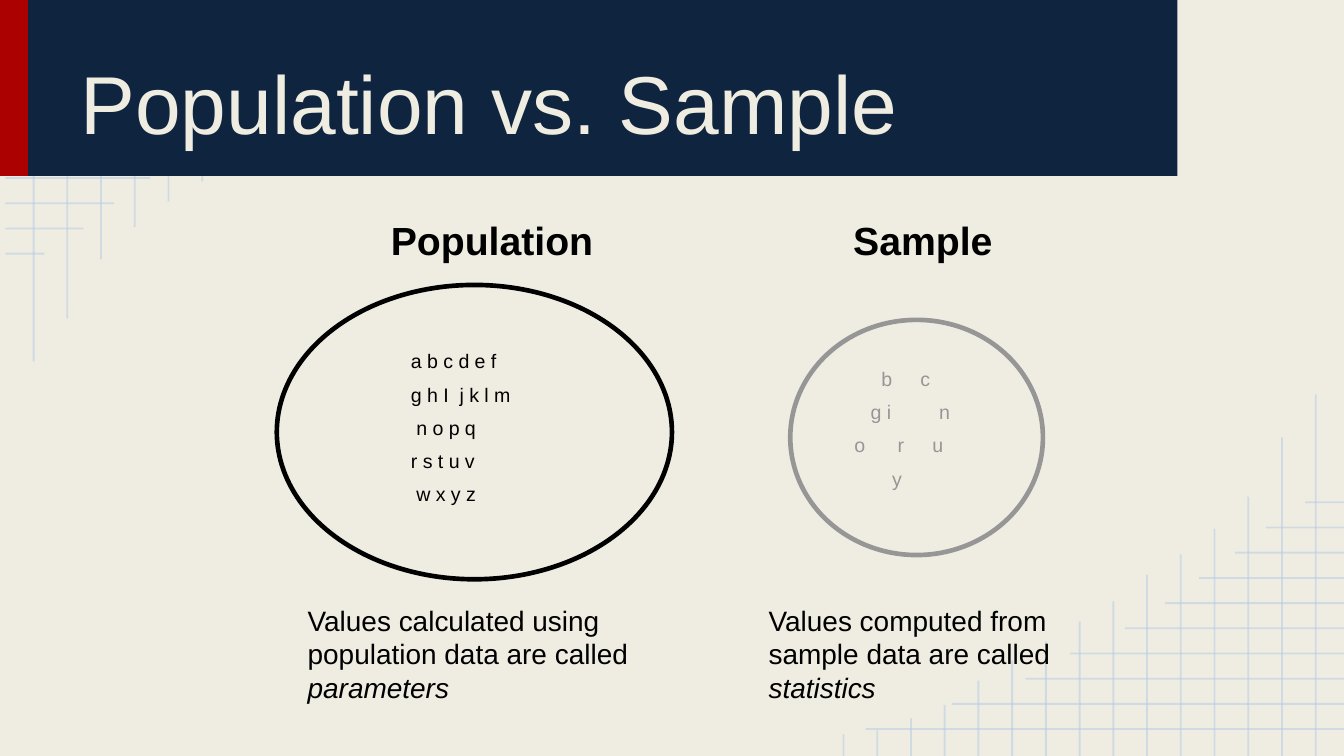
import pptx
import pptx.dml.color
import pptx.enum.shapes
import pptx.enum.text
import pptx.oxml
import pptx.oxml.ns
import pptx.util
from pptx.util import Inches

RGBColor = pptx.dml.color.RGBColor
CREAM = RGBColor(0xEF, 0xED, 0xE2)
NAVY = RGBColor(0x0F, 0x24, 0x3E)
RED = RGBColor(0xAB, 0x01, 0x01)
GRID_BLUE = RGBColor(0xB7, 0xCC, 0xE4)
BLACK = RGBColor(0, 0, 0)
GRAY = RGBColor(0x96, 0x96, 0x96)

FONT = "Arial"
WIDTH = 10
HEIGHT = WIDTH * 9 / 16
HEADER_BOTTOM = 1.31
GRID_MARGIN = 0.04
ROW_LENGTHS = [3.56, 2.92, 2.37, 2.04, 1.63, 1.33, 1.08, 0.81, 0.58, 0.29]
COLUMN_LENGTHS = [2.69, 2.37, 1.93, 1.69, 1.5, 1.35, 1.15, 1, 0.85, 0.71, 0.56, 0.38, 0.28, 0.19, 0.16]

POPULATION_LINES = ["a b c d e f", "g h I  j k l m", " n o p q", "r s t u v", " w x y z"]
SAMPLE_LINES = ["\tb\tc", "\tg i\tn", "\to\tr\tu", "\ty"]
SAMPLE_STOPS = [[0.28, 0.57], [0.2, 0.71], [0.08, 0.4, 0.66], [0.36]]


def add_grid_line(slide, start, end):
    points = [Inches(value) for value in (*start, *end)]
    connector = slide.shapes.add_connector(pptx.enum.shapes.MSO_CONNECTOR.STRAIGHT, *points)
    connector.line.color.rgb = GRID_BLUE
    connector.line.width = pptx.util.Pt(1)
    color = connector.element.find(".//" + pptx.oxml.ns.qn("a:srgbClr"))
    alpha = pptx.oxml.parse_xml(f'<a:alpha {pptx.oxml.ns.nsdecls("a")} val="54000"/>')
    color.append(alpha)
    effects = pptx.oxml.parse_xml(f'<a:effectLst {pptx.oxml.ns.nsdecls("a")}/>')
    connector.element.spPr.append(effects)


def add_corner_grids(slide):
    lines = []
    for index, length in enumerate(ROW_LENGTHS):
        y = 0.2 + 0.1875 * index
        lines.append(((GRID_MARGIN, y), (GRID_MARGIN + length, y)))
    for index, length in enumerate(COLUMN_LENGTHS):
        x = 0.25 + 0.251 * index
        lines.append(((x, 0), (x, length)))
    for start, end in lines:
        if end[1] > HEADER_BOTTOM:
            add_grid_line(slide, start, end)
        turned = [(WIDTH + GRID_MARGIN - x, HEIGHT - y) for x, y in (start, end)]
        add_grid_line(slide, *turned)


def add_header_band(slide, left, width, color):
    band = slide.shapes.add_shape(
        pptx.enum.shapes.MSO_SHAPE.RECTANGLE,
        Inches(left), Inches(0), Inches(width), Inches(HEADER_BOTTOM))
    band.shadow.inherit = False
    band.fill.solid()
    band.fill.fore_color.rgb = color
    band.line.fill.background()


def add_oval(slide, left, top, width, height, color):
    oval = slide.shapes.add_shape(
        pptx.enum.shapes.MSO_SHAPE.OVAL,
        Inches(left), Inches(top), Inches(width), Inches(height))
    oval.shadow.inherit = False
    oval.fill.background()
    oval.line.color.rgb = color
    oval.line.width = pptx.util.Pt(2.5)


def format_font(font, size, color, bold=False):
    font.name = FONT
    font.size = pptx.util.Pt(size)
    font.color.rgb = color
    font.bold = bold


def fill_title(slide, text):
    title = slide.shapes.title
    title.left, title.top, title.width, title.height = [Inches(value) for value in (0.5, 0.11, 8, 1.11)]
    frame = title.text_frame
    frame.text = text
    frame.auto_size = pptx.enum.text.MSO_AUTO_SIZE.NONE
    frame.vertical_anchor = pptx.enum.text.MSO_ANCHOR.BOTTOM
    frame.margin_left = frame.margin_right = frame.margin_top = frame.margin_bottom = Inches(0.1)
    paragraph = frame.paragraphs[0]
    paragraph.alignment = pptx.enum.text.PP_ALIGN.LEFT
    format_font(paragraph.runs[0].font, 44, CREAM)
    slide.shapes.element.append(title.element)


def add_text(slide, box, text, size, color=BLACK, bold=False):
    shape = slide.shapes.add_textbox(*[Inches(value) for value in box])
    frame = shape.text_frame
    frame.text = text
    frame.word_wrap = True
    for index, paragraph in enumerate(frame.paragraphs):
        if index:
            paragraph.space_before = pptx.util.Pt(size / 2)
        for run in paragraph.runs:
            format_font(run.font, size, color, bold)
    return frame


def add_tab_stops(paragraph, positions):
    stops = "".join(f'<a:tab pos="{Inches(position)}" algn="l"/>' for position in positions)
    tab_list = pptx.oxml.parse_xml(f'<a:tabLst {pptx.oxml.ns.nsdecls("a")}>{stops}</a:tabLst>')
    paragraph._p.get_or_add_pPr().append(tab_list)


def add_caption(slide, box, text, term):
    frame = add_text(slide, box, text, 15)
    run = frame.paragraphs[0].add_run()
    run.text = term
    format_font(run.font, 15, BLACK)
    run.font.italic = True


def main():
    presentation = pptx.Presentation()
    presentation.slide_width = Inches(WIDTH)
    presentation.slide_height = Inches(HEIGHT)
    slide = presentation.slides.add_slide(presentation.slide_layouts[5])
    slide.background.fill.solid()
    slide.background.fill.fore_color.rgb = CREAM

    add_corner_grids(slide)
    add_header_band(slide, 0, 0.21, RED)
    add_header_band(slide, 0.21, 8.55, NAVY)
    fill_title(slide, "Population vs. Sample")

    add_oval(slide, 2.06, 2.12, 2.94, 2.19, BLACK)
    add_oval(slide, 5.88, 2.38, 1.88, 1.75, GRAY)
    add_text(slide, (2.96, 2.55, 2.56, 1.34), "\n".join(POPULATION_LINES), 10.5)
    add_text(slide, (2.81, 1.56, 1.81, 0.45), "Population", 21, bold=True)
    add_text(slide, (6.25, 1.56, 1.62, 0.45), "Sample", 21, bold=True)
    sample = add_text(slide, (6.18, 2.68, 2.56, 1.34), "\n".join(SAMPLE_LINES), 10.5, GRAY)
    for paragraph, positions in zip(sample.paragraphs, SAMPLE_STOPS):
        add_tab_stops(paragraph, positions)
    add_caption(slide, (2.19, 4.44, 2.88, 0.86),
                "Values calculated using population data are called ", "parameters")
    add_caption(slide, (5.62, 4.44, 2.75, 0.86),
                "Values computed from sample data are called ", "statistics")
    presentation.save("out.pptx")


if __name__ == "__main__":
    main()
